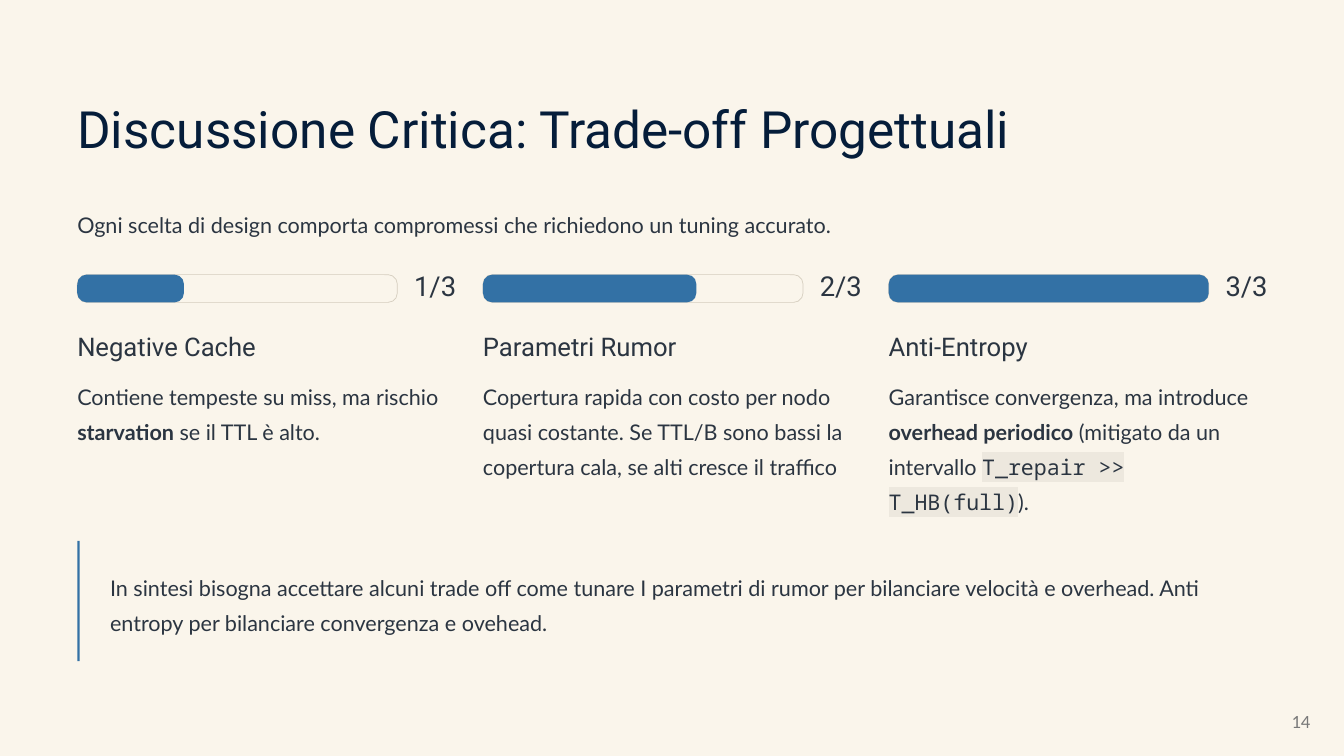
import pptx
import pptx.dml.color
import pptx.enum.shapes
import pptx.enum.text
import pptx.oxml.ns
import pptx.util
from lxml import etree

Inches = pptx.util.Inches
Pt = pptx.util.Pt
RGBColor = pptx.dml.color.RGBColor
SHAPE = pptx.enum.shapes.MSO_SHAPE
ALIGN = pptx.enum.text.PP_ALIGN
ANCHOR = pptx.enum.text.MSO_ANCHOR

CREAM = RGBColor(0xFA, 0xF5, 0xEB)
NAVY = RGBColor(0x05, 0x1D, 0x3A)
INK = RGBColor(0x2B, 0x35, 0x41)
BLUE = RGBColor(0x33, 0x71, 0xA5)
SAND = RGBColor(0xD5, 0xCD, 0xBE)
CODE_BACK = RGBColor(0xED, 0xE8, 0xDE)
GREY = RGBColor(0x79, 0x79, 0x79)

TITLE = {"size": 44, "name": "Roboto", "color": NAVY, "leading": 55}
HEADING = {"size": 22, "name": "Roboto", "color": INK, "leading": 27.5}
STEP = {"size": 23.5, "name": "Roboto", "color": INK, "leading": 23.5}
BODY = {"size": 18.5, "name": "Lato", "color": INK, "leading": 30}
PAGE = {"size": 16, "name": "Calibri", "color": GREY}
BOLD = {"bold": True}
CODE = {"name": "Noto Sans Mono", "highlight": CODE_BACK}

MARGIN = 0.92
COLUMN_WIDTH = 4.5
COLUMN_PITCH = 4.83
TRADE_OFFS = [
    ("Negative Cache",
     [("Contiene tempeste su miss, ma rischio ", {}), ("starvation", BOLD),
      (" se il TTL è alto.", {})]),
    ("Parametri Rumor",
     [("Copertura rapida con costo per nodo quasi costante. Se TTL/B sono "
       "bassi la copertura cala, se alti cresce il traffico", {})]),
    ("Anti-Entropy",
     [("Garantisce convergenza, ma introduce ", {}),
      ("overhead periodico", BOLD), (" (mitigato da un intervallo ", {}),
      ("T_repair >> T_HB(full)", CODE), (").", {})]),
]


def add_run(p, text, style):
    r = p.add_run()
    r.text = text
    r.font.color.rgb = style["color"]
    if "highlight" in style:
        qn = pptx.oxml.ns.qn
        highlight = etree.SubElement(r.font._element, qn("a:highlight"))
        etree.SubElement(highlight, qn("a:srgbClr"), val=str(style["highlight"]))
    font = {"size": Pt(style["size"]), "name": style["name"],
            "bold": style.get("bold", False)}
    for key, value in font.items():
        setattr(r.font, key, value)


def add_text(s, box, runs, style, wrap=False):
    """Add a one-paragraph text box; runs is a list of (text, overrides)."""
    tf = s.shapes.add_textbox(*map(Inches, box)).text_frame
    tf.word_wrap = wrap
    for side in ("left", "top", "right", "bottom"):
        setattr(tf, f"margin_{side}", 0)
    p = tf.paragraphs[0]
    if "leading" in style:
        p.line_spacing = Pt(style["leading"])
    for text, overrides in runs:
        add_run(p, text, {**style, **overrides})
    return tf


def add_block(s, kind, box, fill, line=None):
    sp = s.shapes.add_shape(kind, *map(Inches, box))
    sp.shadow.inherit = False
    sp.fill.solid()
    sp.fill.fore_color.rgb = fill
    if line is None:
        sp.line.fill.background()
    else:
        sp.line.color.rgb = line
        sp.line.width = Pt(0.6)
    return sp


def add_progress(s, x, y, w, step, total):
    height = 0.33
    bar = w - 0.69
    for length, fill, line in ((bar, CREAM, SAND),
                               (bar * step / total, BLUE, None)):
        sp = add_block(s, SHAPE.ROUNDED_RECTANGLE, (x, y, length, height),
                       fill, line)
        sp.adjustments[0] = 0.336
    add_text(s, (x + bar + 0.2, y, 0.6, height),
             [(f"{step}/{total}", {})], STEP)


def add_trade_off(s, x, y, w, step, heading, runs):
    add_progress(s, x, y, w, step, len(TRADE_OFFS))
    add_text(s, (x, y + 0.65, w, 0.38), [(heading, {})], HEADING)
    add_text(s, (x, y + 1.19, w, 1.68), runs, BODY, wrap=True)


def add_summary(s, x, y, w, h, text):
    """Add the closing quote with its accent bar on the left."""
    add_block(s, SHAPE.RECTANGLE, (x, y, 0.03, h), BLUE)
    add_text(s, (x + 0.39, y + 0.3, w - 0.39, h - 0.6), [(text, {})], BODY,
             wrap=True)


def add_page_number(s, x, y, w, h, number):
    tf = add_text(s, (x, y, w, h), [(number, {})], PAGE, wrap=True)
    tf.vertical_anchor = ANCHOR.MIDDLE
    tf.paragraphs[0].alignment = ALIGN.RIGHT


def main():
    prs = pptx.Presentation()
    prs.slide_width, prs.slide_height = Inches(16), Inches(9)
    s = prs.slides.add_slide(prs.slide_layouts[6])
    s.background.fill.solid()
    s.background.fill.fore_color.rgb = CREAM

    add_text(s, (MARGIN, 1.13, 11.84, 0.77),
             [("Discussione Critica: Trade-off Progettuali", {})], TITLE)
    add_text(s, (MARGIN, 2.42, 14.17, 0.42),
             [("Ogni scelta di design comporta compromessi che richiedono "
               "un tuning accurato.", {})], BODY)
    for i, (heading, runs) in enumerate(TRADE_OFFS):
        add_trade_off(s, MARGIN + i * COLUMN_PITCH, 3.27, COLUMN_WIDTH,
                      i + 1, heading, runs)
    add_summary(s, MARGIN, 6.44, 14.17, 1.43,
                "In sintesi bisogna accettare alcuni trade off come tunare I "
                "parametri di rumor per bilanciare velocità e overhead. Anti "
                "entropy per bilanciare convergenza e ovehead.")
    add_page_number(s, 12.1, 8.34, 3.5, 0.48, "14")
    prs.save("out.pptx")


if __name__ == "__main__":
    main()
